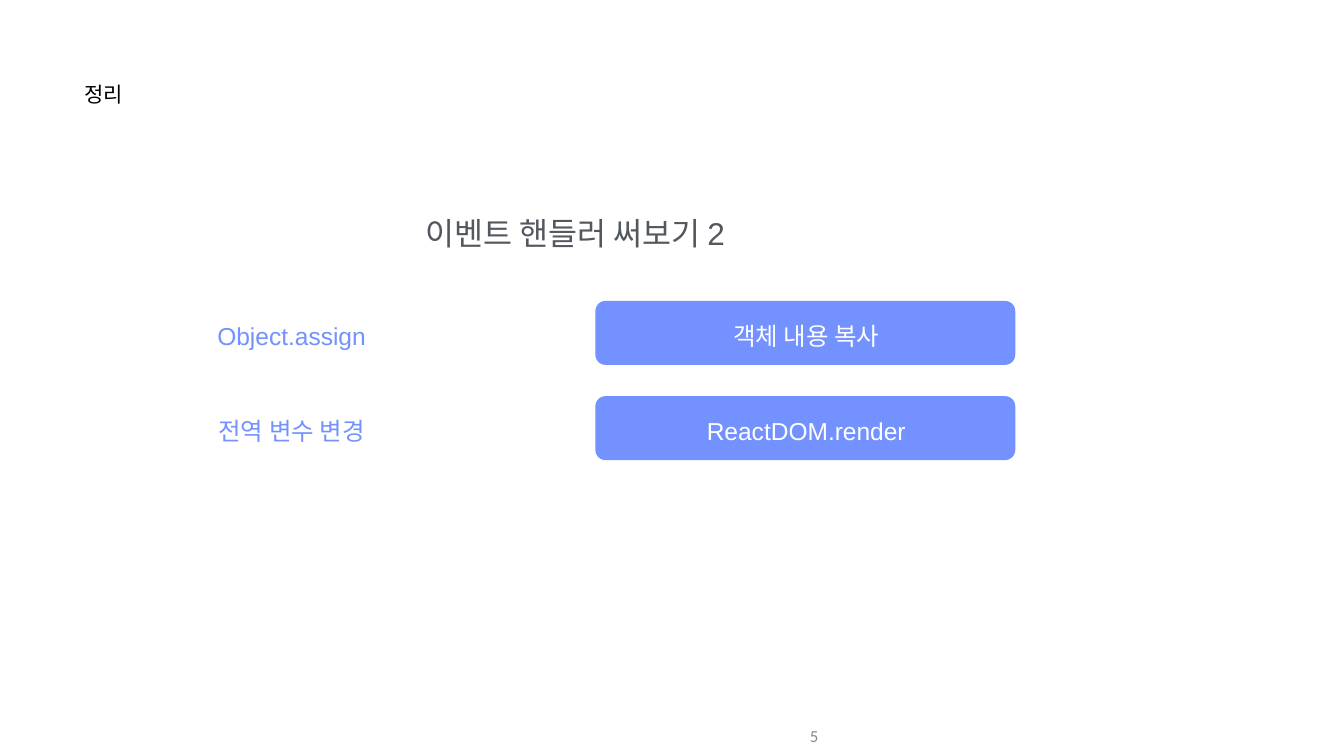
from pptx import Presentation
from pptx.dml.color import RGBColor
from pptx.enum.shapes import MSO_SHAPE
from pptx.enum.text import MSO_ANCHOR, PP_ALIGN
from pptx.util import Inches, Pt


def color(value):
    return RGBColor.from_string(value)


class SummarySlide:
    accent = "7391FF"
    white = "FFFFFF"
    heading = "53585F"
    black = "000000"
    muted = "888888"
    font = "Arial"
    number_font = "Calibri"

    def __init__(self, slide):
        self.slide = slide

    def text(self, text, left, top, width, height, size, fill,
             align=PP_ALIGN.CENTER, anchor=MSO_ANCHOR.MIDDLE,
             font=None, margins=(0.01, 0.01)):
        shape = self.slide.shapes.add_textbox(
            Inches(left), Inches(top), Inches(width), Inches(height))
        frame = shape.text_frame
        frame.word_wrap = True
        frame.vertical_anchor = anchor
        frame.margin_left = frame.margin_right = Inches(margins[0])
        frame.margin_top = frame.margin_bottom = Inches(margins[1])
        paragraph = frame.paragraphs[0]
        paragraph.alignment = align
        run = paragraph.add_run()
        run.text = text
        run.font.name = font or self.font
        run.font.size = Pt(size)
        run.font.color.rgb = color(fill)

    def panel(self, left, top, width, height):
        shape = self.slide.shapes.add_shape(
            MSO_SHAPE.ROUNDED_RECTANGLE,
            Inches(left), Inches(top), Inches(width), Inches(height))
        shape.adjustments[0] = 0.16
        shape.shadow.inherit = False
        shape.fill.solid()
        shape.fill.fore_color.rgb = color(self.accent)
        shape.line.fill.background()

    def row(self, term, meaning, top):
        self.panel(11.81, top, 8.33, 1.27)
        self.text(term, 2.66, top + 0.38, 6.25, 0.62, 35, self.accent)
        self.text(meaning, 11.83, top + 0.38, 8.33, 0.62, 35, self.white)


def main():
    presentation = Presentation()
    presentation.slide_width = Inches(26.66)
    presentation.slide_height = Inches(15)
    summary = SummarySlide(
        presentation.slides.add_slide(presentation.slide_layouts[6]))

    summary.text("정리", 1.67, 1.6, 4.86, 1.18, 30, summary.black,
                 align=PP_ALIGN.LEFT, anchor=MSO_ANCHOR.TOP)
    summary.text("이벤트 핸들러 써보기 2", 2.64, 4.24, 17.54, 0.79, 45,
                 summary.heading, anchor=MSO_ANCHOR.TOP)

    rows = [("Object.assign", "객체 내용 복사"),
            ("전역 변수 변경", "ReactDOM.render")]
    for index, (term, meaning) in enumerate(rows):
        summary.row(term, meaning, 5.97 + index * 1.89)

    summary.text("5", 10.33, 14.21, 6, 0.79, 24, summary.muted,
                 align=PP_ALIGN.RIGHT, font=summary.number_font,
                 margins=(0.1, 0.05))
    presentation.save("out.pptx")


if __name__ == "__main__":
    main()
